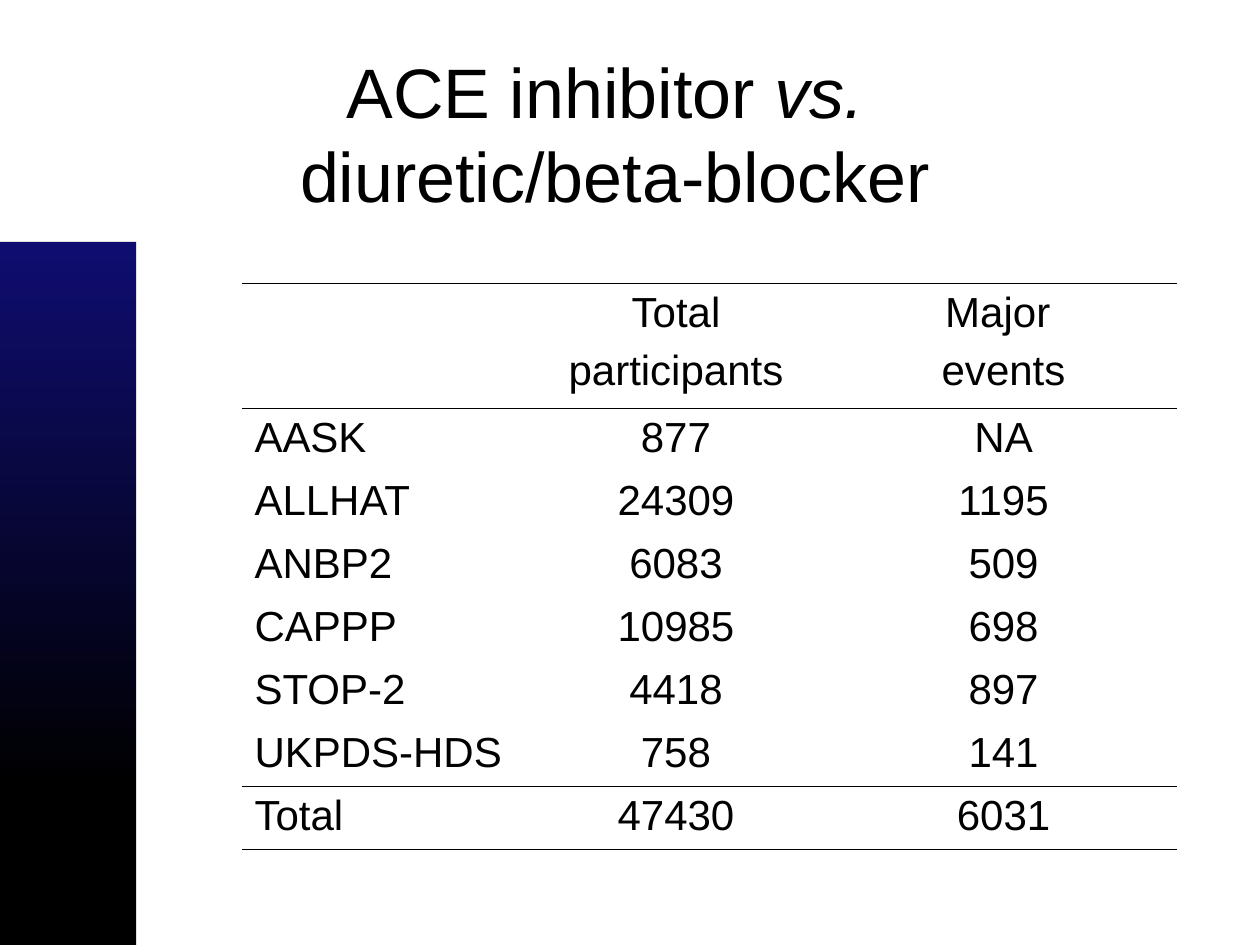
from lxml.etree import SubElement
from pptx import Presentation
from pptx.dml.color import RGBColor
from pptx.enum.shapes import MSO_SHAPE
from pptx.enum.text import MSO_ANCHOR, PP_ALIGN
from pptx.oxml.ns import qn
from pptx.util import Inches, Pt

COLORS = {"text": "000000", "rule": "000000", "band_top": "0F0D70", "band_end": "000000"}
FONT = "Arial"
TITLE = [("ACE inhibitor ", False), ("vs. \v", True), ("diuretic/beta-blocker", False)]
TRIALS = [
    (None, "Total\nparticipants", "Major \nevents"),
    ("AASK", "877", "NA"),
    ("ALLHAT", "24309", "1195"),
    ("ANBP2", "6083", "509"),
    ("CAPPP", "10985", "698"),
    ("STOP-2", "4418", "897"),
    ("UKPDS-HDS", "758", "141"),
    ("Total", "47430", "6031"),
]
COLUMN_WIDTHS = [2.22, 2.45, 2.75]
HEADER_HEIGHT, ROW_HEIGHT = 0.99, 0.5
BAND_WIDTH, BAND_TOP = 1.08, 1.92


def color(name):
    return RGBColor.from_string(COLORS[name])


def add_span(para, text, size=24, italic=False):
    para.add_line_break() if text == "\v" else None
    span = para.add_run()
    span.text = text
    span.font.name = FONT
    span.font.size = Pt(size)
    span.font.bold = False
    span.font.italic = italic
    span.font.color.rgb = color("text")


def add_title(page):
    box = page.shapes.title
    box.left, box.top, box.width, box.height = map(Inches, (0.17, 0.64, 9.42, 0.83))
    box.text_frame.word_wrap = True
    box.text_frame.vertical_anchor = MSO_ANCHOR.MIDDLE
    para = box.text_frame.paragraphs[0]
    para.alignment = PP_ALIGN.CENTER
    para.line_spacing = 1.0
    for text, italic in TITLE:
        add_span(para, text.rstrip("\v"), size=40, italic=italic)
        if text.endswith("\v"):
            para.add_line_break()


def set_borders(cell, ruled_sides):
    properties = cell._tc.get_or_add_tcPr()
    for side in "LRTB":
        ruled = side in ruled_sides
        line = SubElement(properties, qn(f"a:ln{side}"), w=str(Pt(0.45) if ruled else 0))
        fill = SubElement(line, qn("a:solidFill" if ruled else "a:noFill"))
        if ruled:
            SubElement(fill, qn("a:srgbClr"), val=COLORS["rule"])


def add_trials(page):
    last = len(TRIALS) - 1
    heights = [HEADER_HEIGHT] + [ROW_HEIGHT] * last
    frame = page.shapes.add_table(
        len(TRIALS), len(COLUMN_WIDTHS), Inches(1.92), Inches(2.25),
        Inches(sum(COLUMN_WIDTHS)), Inches(sum(heights)))
    table = frame.table
    table.first_row = table.horz_banding = False
    for column, width in zip(table.columns, COLUMN_WIDTHS):
        column.width = Inches(width)
    for index, (row, height) in enumerate(zip(table.rows, heights)):
        row.height = Inches(height)
        sides = ("T" if index in (0, 1, last) else "") + ("B" if index in (0, last - 1, last) else "")
        for position, (cell, text) in enumerate(zip(row.cells, TRIALS[index])):
            set_borders(cell, sides)
            cell.fill.background()
            for number, line in enumerate(text.split("\n") if text else []):
                frame_text = cell.text_frame
                para = frame_text.add_paragraph() if number else frame_text.paragraphs[0]
                para.alignment = PP_ALIGN.CENTER if position else PP_ALIGN.LEFT
                if number:
                    para.space_before = Pt(6)
                add_span(para, line)


def add_band(page, height):
    band = page.shapes.add_shape(
        MSO_SHAPE.RECTANGLE, 0, Inches(BAND_TOP), Inches(BAND_WIDTH), Inches(height))
    band.shadow.inherit = False
    band.line.fill.background()
    return band.fill


def main():
    """Build the slide of trials comparing ACE inhibitors with diuretics or beta-blockers."""
    deck = Presentation()
    deck.slide_width, deck.slide_height = Inches(10), Inches(7.5)
    page = deck.slides.add_slide(deck.slide_layouts[5])
    add_title(page)
    add_trials(page)
    base = add_band(page, 7.5 - BAND_TOP)
    base.solid()
    base.fore_color.rgb = color("band_end")
    fade = add_band(page, 4.33)
    fade.gradient()
    fade.gradient_angle = 270
    for stop, name in zip(fade.gradient_stops, ("band_top", "band_end")):
        stop.color.rgb = color(name)
    deck.save("out.pptx")


if __name__ == "__main__":
    main()
